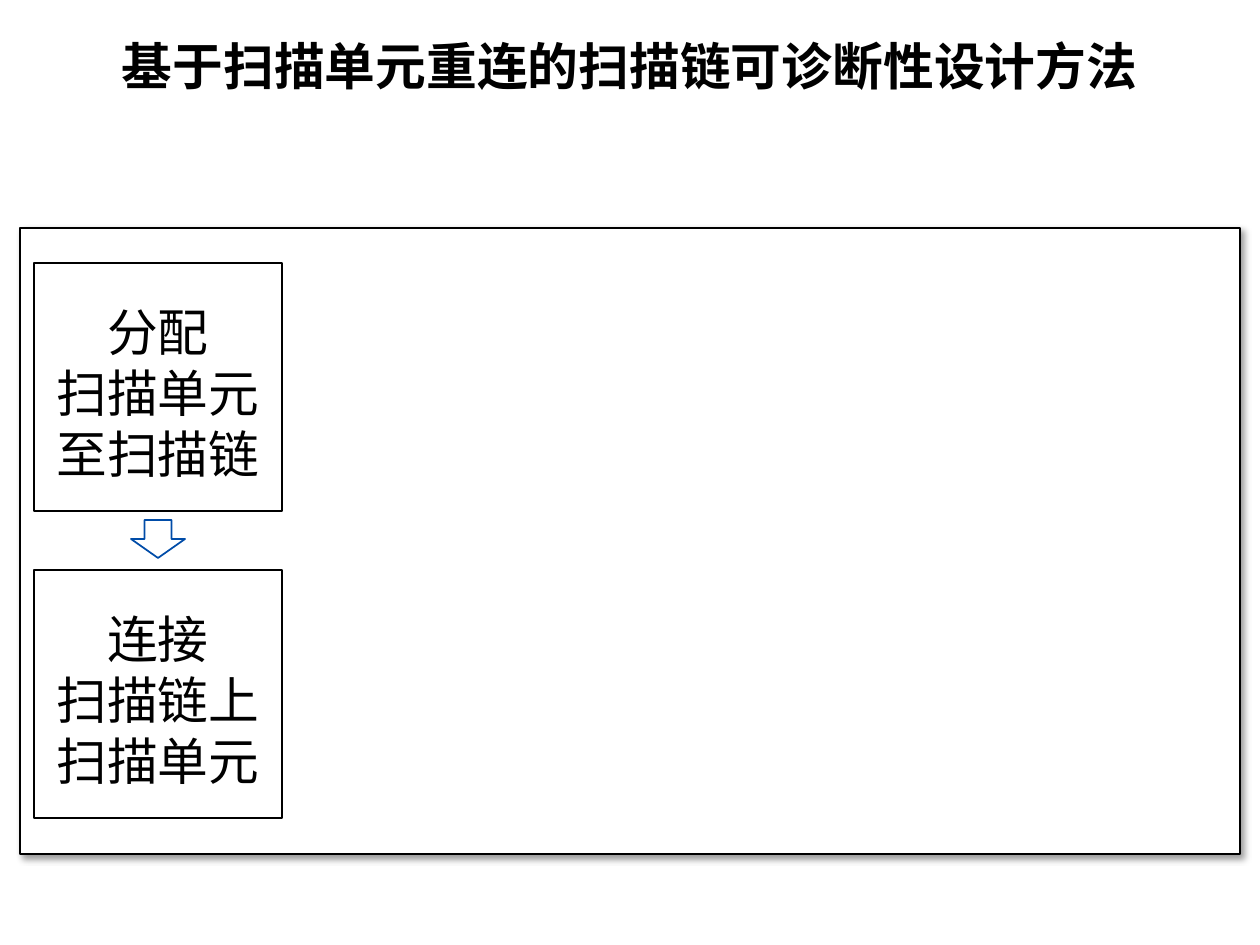
from dataclasses import dataclass

from lxml import etree
from pptx import Presentation
from pptx import util as u
from pptx.dml.color import RGBColor
from pptx.enum import shapes, text
from pptx.oxml import ns

EMU_PER_PX = 914400 / 126


@dataclass(frozen=True)
class Theme:
    ink: RGBColor = RGBColor(0, 0, 0)
    paper: RGBColor = RGBColor(255, 255, 255)
    accent: RGBColor = RGBColor(0x00, 0x4C, 0xA8)
    font: str = "Noto Sans CJK JP"
    text_size: u.Length = u.Pt(29)
    line_pitch: u.Length = u.Pt(35)
    outline: u.Length = u.Pt(1)


@dataclass(frozen=True)
class Area:
    left: int
    top: int
    width: int
    height: int

    def emu(self) -> list[int]:
        return [px(v) for v in (self.left, self.top, self.width, self.height)]


@dataclass(frozen=True)
class Step:
    top: int
    lines: tuple[str, ...]


THEME = Theme()
TITLE = "基于扫描单元重连的扫描链可诊断性设计方法"
TITLE_AREA = Area(0, 0, 1260, 130)
PANEL = Area(20, 228, 1220, 626)
STEP_LEFT, STEP_SIDE = 34, 248
STEPS = (
    Step(263, ("分配", "扫描单元", "至扫描链")),
    Step(570, ("连接", "扫描链上", "扫描单元")),
)
ARROW_WIDTH, ARROW_HEIGHT, ARROW_GAP = 54, 38, 9


def px(value: int) -> int:
    return round(value * EMU_PER_PX)


def set_all(target, **values) -> None:
    for name, value in values.items():
        setattr(target, name, value)


def write_line(para, words: str, bold: bool = False) -> None:
    para.alignment = text.PP_ALIGN.CENTER
    span = para.add_run()
    span.text = words
    set_all(span.font, name=THEME.font, size=THEME.text_size, bold=bold)
    span.font.color.rgb = THEME.ink
    latin = span.font._element.find(ns.qn("a:latin"))
    east_asian = etree.Element(ns.qn("a:ea"), typeface=THEME.font)
    latin.addnext(east_asian)


def add_outlined(page, kind, area: Area, color: RGBColor):
    shape = page.shapes.add_shape(kind, *area.emu())
    shape.shadow.inherit = False
    shape.fill.background()
    shape.line.color.rgb = color
    shape.line.width = THEME.outline
    return shape


def add_shadow(shape) -> None:
    """Cast a soft shadow to the lower right."""
    effects = shape._element.spPr.find(ns.qn("a:effectLst"))
    shadow = etree.SubElement(
        effects, ns.qn("a:outerShdw"), blurRad=str(u.Pt(4)), dist=str(u.Pt(3)),
        dir=str(45 * 60000), algn="tl", rotWithShape="0")
    color = etree.SubElement(shadow, ns.qn("a:srgbClr"), val=str(THEME.ink))
    etree.SubElement(color, ns.qn("a:alpha"), val="40000")


def add_panel(page) -> None:
    panel = add_outlined(page, shapes.MSO_SHAPE.RECTANGLE, PANEL, THEME.ink)
    panel.fill.solid()
    panel.fill.fore_color.rgb = THEME.paper
    add_shadow(panel)


def add_step(page, step: Step) -> None:
    area = Area(STEP_LEFT, step.top, STEP_SIDE, STEP_SIDE)
    box = add_outlined(page, shapes.MSO_SHAPE.RECTANGLE, area, THEME.ink)
    frame = box.text_frame
    set_all(frame, margin_left=0, margin_right=0, margin_top=px(10), margin_bottom=0,
            vertical_anchor=text.MSO_ANCHOR.MIDDLE, word_wrap=True)
    for index, words in enumerate(step.lines):
        para = frame.add_paragraph() if index else frame.paragraphs[0]
        para.line_spacing = THEME.line_pitch
        write_line(para, words)


def add_arrow_below(page, step: Step) -> None:
    area = Area(STEP_LEFT + (STEP_SIDE - ARROW_WIDTH) // 2,
                step.top + STEP_SIDE + ARROW_GAP, ARROW_WIDTH, ARROW_HEIGHT)
    add_outlined(page, shapes.MSO_SHAPE.DOWN_ARROW, area, THEME.accent)


def fill_title(page) -> None:
    title = page.shapes.title
    left, top, width, height = TITLE_AREA.emu()
    set_all(title, left=left, top=top, width=width, height=height)
    set_all(title.text_frame, vertical_anchor=text.MSO_ANCHOR.MIDDLE,
            auto_size=text.MSO_AUTO_SIZE.NONE, word_wrap=True)
    write_line(title.text_frame.paragraphs[0], TITLE, bold=True)


def main() -> None:
    deck = Presentation()
    set_all(deck, slide_width=u.Inches(10), slide_height=u.Inches(7.5))
    page = deck.slides.add_slide(deck.slide_layouts[5])
    fill_title(page)
    add_panel(page)
    for step in STEPS:
        add_step(page, step)
    for step in STEPS[:-1]:
        add_arrow_below(page, step)
    deck.save("out.pptx")


if __name__ == "__main__":
    main()
